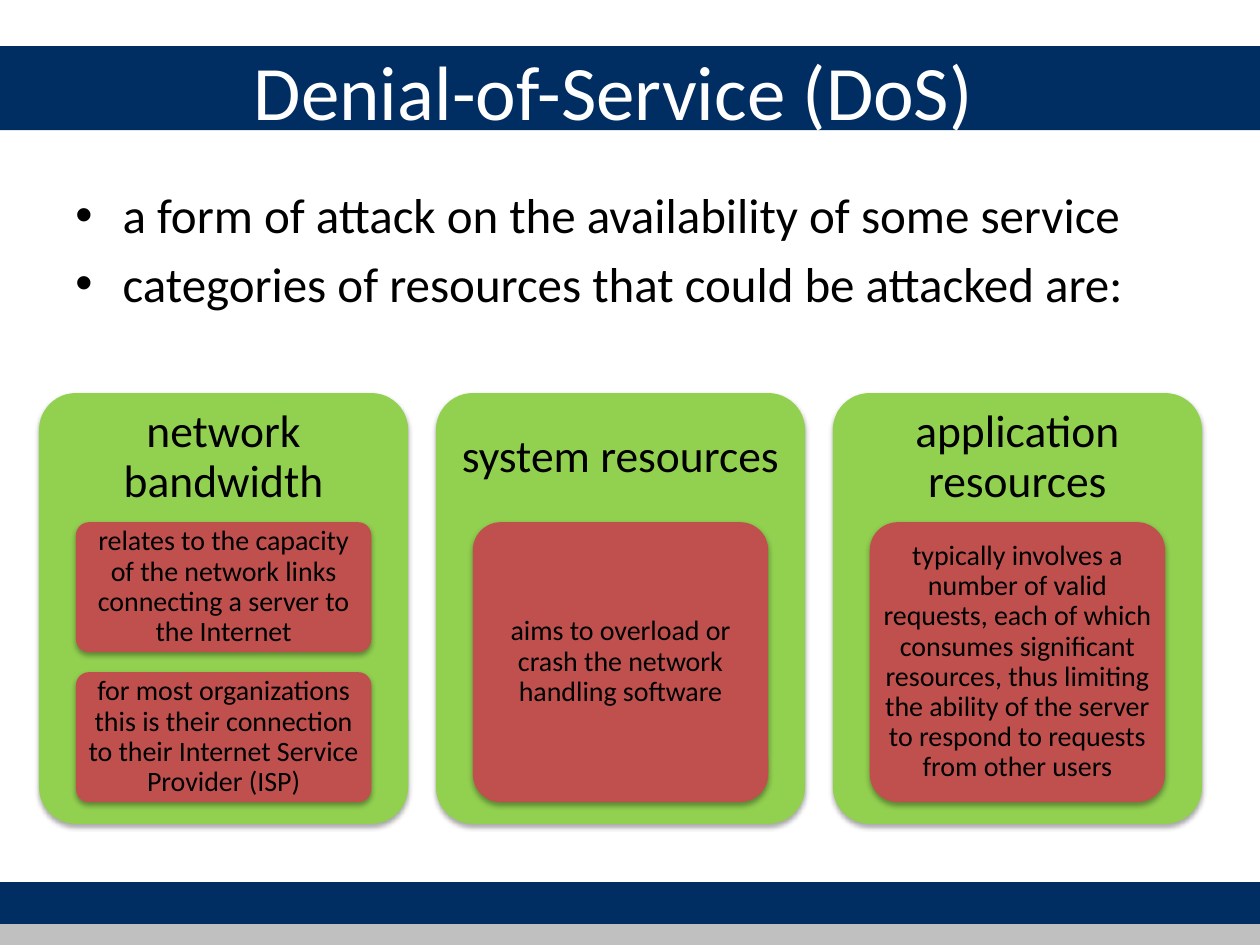
from dataclasses import dataclass

from lxml.etree import SubElement
from pptx import Presentation
from pptx.dml.color import RGBColor
from pptx.enum.shapes import MSO_SHAPE as Shape
from pptx.enum.text import MSO_ANCHOR as Anchor, PP_ALIGN as Align
from pptx.oxml.ns import qn
from pptx.util import Pt


@dataclass(frozen=True)
class Theme:
    font: str = "Calibri"
    navy: str = "002E62"
    silver: str = "C0C0C0"
    green: str = "92D050"
    red: str = "C0504D"
    black: str = "000000"
    white: str = "FFFFFF"
    title_size: float = 44
    bullet_size: float = 28
    heading_size: float = 26
    detail_size: float = 16


THEME = Theme()

BULLETS = [
    "a form of attack on the availability of some service",
    "categories of resources that could be attacked are:",
]
CARDS = [
    ("network bandwidth", [
        "relates to the capacity of the network links connecting a server to the Internet",
        "for most organizations this is their connection to their Internet Service Provider (ISP)",
    ]),
    ("system resources", [
        "aims to overload or crash the network handling software",
    ]),
    ("application resources", [
        "typically involves a number of valid requests, each of which consumes significant "
        "resources, thus limiting the ability of the server to respond to requests from other users",
    ]),
]

# Card grid, in points
CARD_LEFT, CARD_TOP, CARD_WIDTH, CARD_HEIGHT = 22.3, 224.6, 211, 246.2
CARD_PITCH = 226.8
DETAIL_TOP, DETAIL_AREA, DETAIL_GAP = 298.4, 160, 11.4
DETAIL_WIDTH = CARD_WIDTH * 0.8
CORNER = 0.1  # corner radius as a share of the shorter side


def add_span(para, text, size, color):
    span = para.add_run()
    span.text = text
    span.font.name = THEME.font
    span.font.size = Pt(size)
    span.font.color.rgb = RGBColor.from_string(color)


def set_margins(frame, left, top, right, bottom):
    frame.margin_left, frame.margin_top = Pt(left), Pt(top)
    frame.margin_right, frame.margin_bottom = Pt(right), Pt(bottom)


def add_panel(page, kind, left, top, width, height, color):
    panel = page.shapes.add_shape(kind, Pt(left), Pt(top), Pt(width), Pt(height))
    panel.shadow.inherit = False
    panel.fill.solid()
    panel.fill.fore_color.rgb = RGBColor.from_string(color)
    panel.line.fill.background()
    return panel


def add_text_box(page, left, top, width, height, anchor):
    box = page.shapes.add_textbox(Pt(left), Pt(top), Pt(width), Pt(height))
    frame = box.text_frame
    frame.word_wrap = True
    frame.vertical_anchor = anchor
    set_margins(frame, 7.2, 3.6, 7.2, 3.6)
    return frame


def add_soft_shadow(panel):
    effects = panel._element.spPr.find(qn("a:effectLst"))
    shadow = SubElement(effects, qn("a:outerShdw"), blurRad=str(Pt(3.1)),
                        dist=str(Pt(1.8)), dir="5400000", rotWithShape="0")
    color = SubElement(shadow, qn("a:srgbClr"), val=THEME.black)
    SubElement(color, qn("a:alpha"), val="35000")


def add_rounded_panel(page, left, top, width, height, color, text, size, margins):
    panel = add_panel(page, Shape.ROUNDED_RECTANGLE, left, top, width, height, color)
    panel.adjustments[0] = CORNER
    add_soft_shadow(panel)
    frame = panel.text_frame
    frame.word_wrap = True
    frame.vertical_anchor = Anchor.MIDDLE
    # The preset already insets its text by the corner, so margins count from the edge
    inset = 0.29 * CORNER * min(width, height)
    set_margins(frame, *(margin - inset for margin in margins))
    para = frame.paragraphs[0]
    para.alignment = Align.CENTER
    para.line_spacing = 0.9
    add_span(para, text, size, THEME.black)


def add_bullet(para, text):
    props = para._p.get_or_add_pPr()
    props.set("marL", str(Pt(27)))
    props.set("indent", str(Pt(-27)))
    SubElement(props, qn("a:buFont"), typeface="Arial")
    SubElement(props, qn("a:buChar"), char="•")
    add_span(para, text, THEME.bullet_size, THEME.black)


def add_card(page, left, heading, details):
    add_rounded_panel(page, left, CARD_TOP, CARD_WIDTH, CARD_HEIGHT, THEME.green,
                      heading, THEME.heading_size, (7.8, 7.8, 7.8, 180))
    height = (DETAIL_AREA - DETAIL_GAP * (len(details) - 1)) / len(details)
    side, end = (7.2, 6.5) if len(details) == 1 else (5, 4.2)
    for row, detail in enumerate(details):
        add_rounded_panel(page, left + (CARD_WIDTH - DETAIL_WIDTH) / 2,
                          DETAIL_TOP + row * (height + DETAIL_GAP),
                          DETAIL_WIDTH, height, THEME.red,
                          detail, THEME.detail_size, (side, end, side, end))


def main():
    deck = Presentation()
    deck.slide_width, deck.slide_height = Pt(720), Pt(540)
    page = deck.slides.add_slide(deck.slide_layouts[6])

    # Header and footer bands
    for top, height, color in [(504, 24, THEME.navy), (26.4, 48, THEME.navy),
                               (528, 12, THEME.silver)]:
        add_panel(page, Shape.RECTANGLE, 0, top, 720, height, color)

    # Title
    title = add_text_box(page, 138, 6, 570, 90, Anchor.MIDDLE)
    add_span(title.paragraphs[0], "Denial-of-Service (DoS)", THEME.title_size, THEME.white)

    # Bullets
    body = add_text_box(page, 36, 102, 648, 110, Anchor.TOP)
    for index, text in enumerate(BULLETS):
        para = body.add_paragraph() if index else body.paragraphs[0]
        if index:
            para.space_before = Pt(0.2 * THEME.bullet_size)
        add_bullet(para, text)

    # Resource cards
    for column, (heading, details) in enumerate(CARDS):
        add_card(page, CARD_LEFT + column * CARD_PITCH, heading, details)

    deck.save("out.pptx")


if __name__ == "__main__":
    main()
